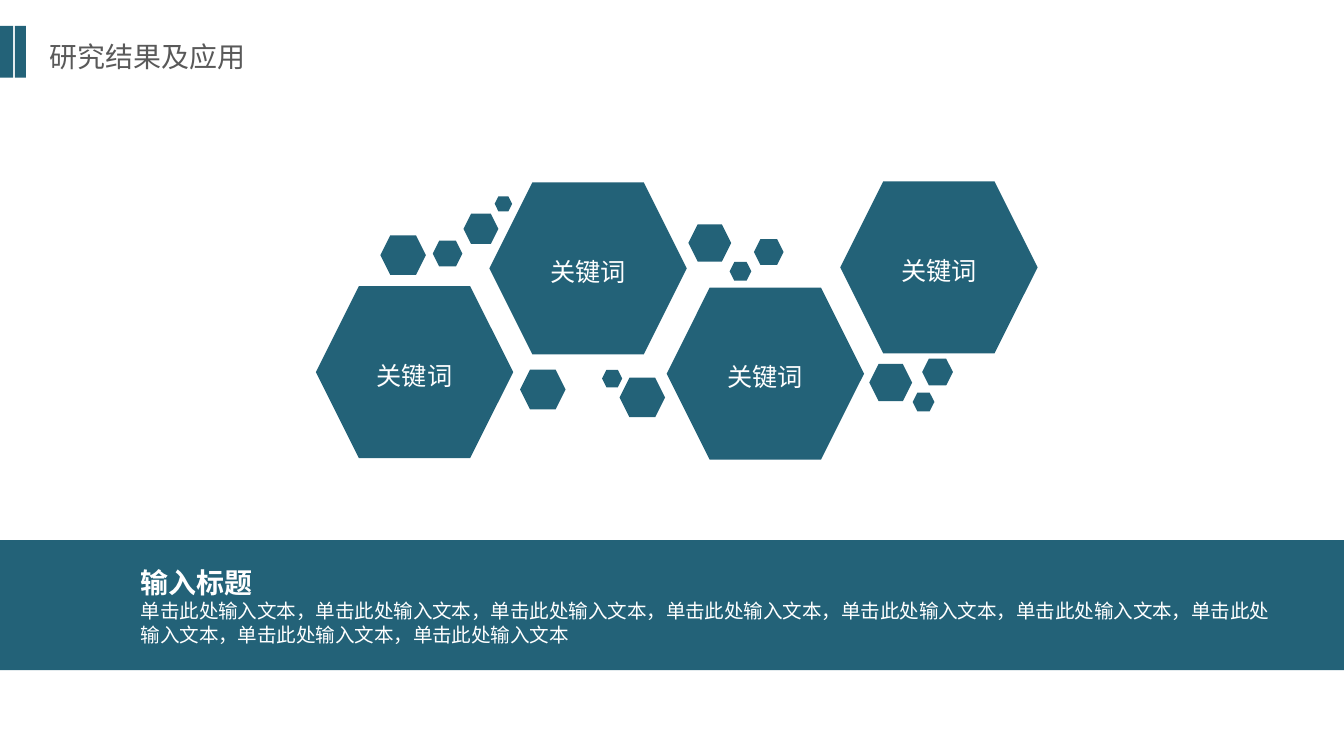
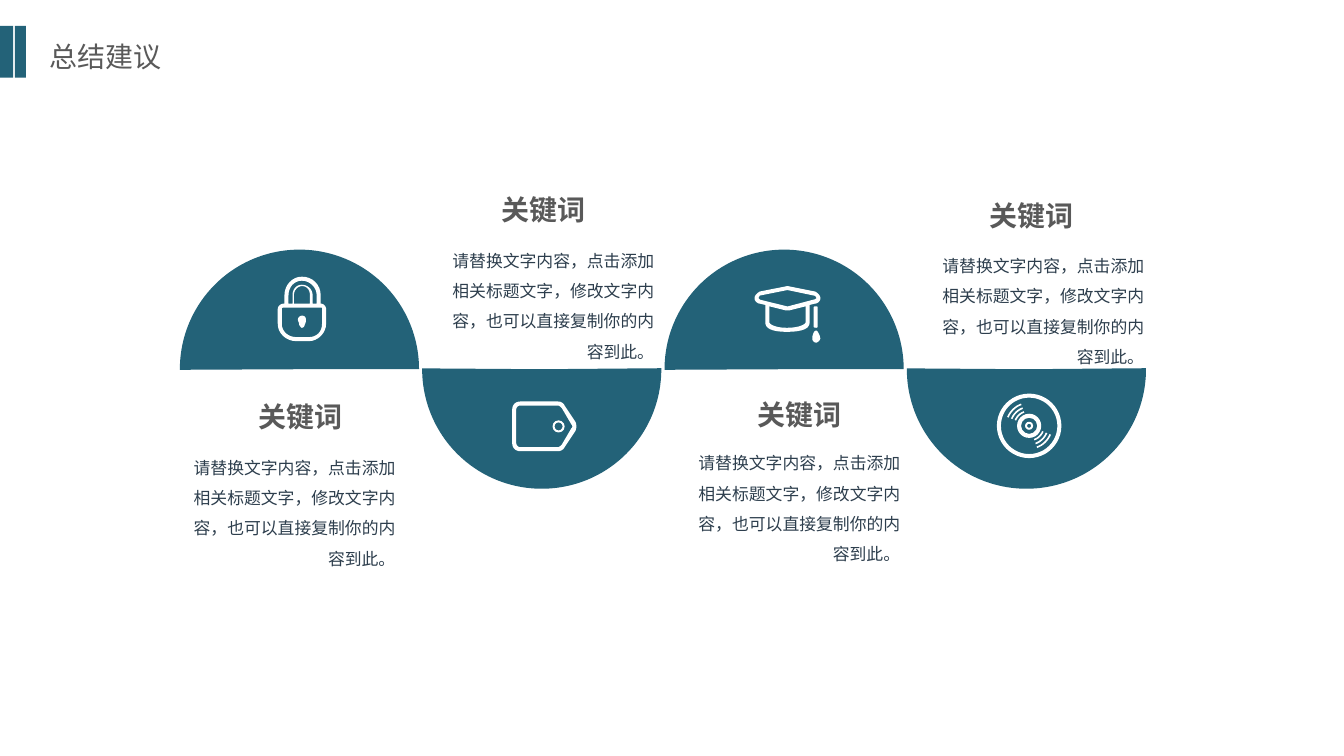
from math import cos, radians, sin

from pptx import Presentation
from pptx.dml.color import RGBColor
from pptx.enum.shapes import MSO_SHAPE
from pptx.enum.text import MSO_ANCHOR, MSO_AUTO_SIZE, PP_ALIGN
from pptx.util import Cm, Pt

TEAL = "236278"
WHITE = "FFFFFF"
GREY = "595959"
SLATE = "2D3E4D"
HEADING_FONT = "Noto Sans CJK SC"
BODY_FONT = "Arial"
KEYWORD = "关键词"
ICON_UNIT = Cm(2.54) / 100
HEXAGON_RATIO = 0.87

# Icon outlines: M move, L line, C curve, in icon units
LOCK = [
    "M 32 20 L 32 14 C 32 6 26 0 18 0 C 11 0 5 6 5 14 L 5 20 C 2 20 0 22 0 24 "
    "L 0 35 C 0 42 6 48 14 48 L 23 48 C 30 48 36 42 36 35 L 36 24 C 36 22 34 20 32 20 "
    "M 33 24 L 33 35 C 33 41 29 45 23 45 L 14 45 C 8 45 3 41 3 35 L 3 24 "
    "C 3 23 4 23 5 23 L 32 23 C 33 23 33 23 33 24 "
    "M 24 14 L 24 20 L 12 20 L 12 14 C 12 10 15 7 18 7 C 22 7 24 10 24 14 "
    "M 8 14 C 8 8 12 3 18 3 C 24 3 29 8 29 14 L 29 20 L 26 20 L 26 14 "
    "C 26 9 22 6 18 6 C 14 6 11 9 11 14 L 11 20 L 8 20",
    "M 18 29 C 17 29 15 30 15 32 C 15 33 16 34 16 36 C 17 37 17 38 18 38 "
    "C 19 38 20 37 20 36 C 21 34 21 33 21 32 C 21 30 20 29 18 29",
]
TAG = [
    "M 47 15 L 39 3 C 38 1 36 0 34 0 L 6 0 C 2 0 0 3 0 6 L 0 31 C 0 34 2 37 6 37 "
    "L 34 37 C 36 37 38 36 39 34 L 47 22 C 48 20 48 17 47 15 "
    "M 44 20 L 37 32 C 36 33 35 34 34 34 L 6 34 C 4 34 3 32 3 31 L 3 6 "
    "C 3 5 4 3 6 3 L 34 3 C 35 3 36 4 37 5 L 44 17 C 45 18 45 19 44 20",
]
CAP = [
    "M 49 9 C 49 7 47 5 45 4 L 25 0 L 24 0 L 4 4 C 2 5 0 7 0 9 C 0 11 2 13 4 13 "
    "L 8 14 L 8 27 C 8 31 12 34 24 34 C 37 34 41 31 41 27 L 41 14 L 45 13 "
    "C 47 13 49 11 49 9 "
    "M 25 15 L 24 15 L 4 10 C 4 10 3 9 3 9 C 3 8 4 7 4 7 L 24 3 L 25 3 L 44 7 "
    "C 45 7 46 8 46 9 C 46 9 45 10 44 10 "
    "M 38 27 C 38 28 34 31 24 31 C 15 31 11 28 11 27 L 11 15 L 23 18 "
    "C 24 18 25 18 26 18 L 38 15",
    "M 44 16 L 44 30 C 44 31 45 31 46 31 C 46 31 47 31 47 30 L 47 16 "
    "C 47 15 46 15 46 15 C 45 15 44 15 44 16",
    "M 46 33 C 44 33 43 37 43 39 C 43 40 44 42 46 42 C 47 42 49 40 49 39 "
    "C 49 37 47 33 46 33",
]


def color(value):
    return RGBColor.from_string(value)


def paint(shape, fill):
    shape.shadow.inherit = False
    shape.fill.solid()
    shape.fill.fore_color.rgb = color(fill)
    shape.line.fill.background()
    return shape


def add_preset(slide, kind, left, top, width, height, fill=TEAL):
    return paint(slide.shapes.add_shape(kind, left, top, width, height), fill)


def format_paragraph(paragraph, size, font_name, font_color, bold=False,
                     align=None, spacing=None):
    paragraph.alignment = align
    paragraph.line_spacing = spacing
    font = paragraph.font
    for run in paragraph.runs:
        font = run.font
        font.size = Pt(size)
        font.name = font_name
        font.bold = bold
        font.color.rgb = color(font_color)


def add_text(slide, left, top, width, height, text, grow=True):
    text_frame = slide.shapes.add_textbox(left, top, width, height).text_frame
    text_frame.word_wrap = True
    if grow:
        text_frame.auto_size = MSO_AUTO_SIZE.SHAPE_TO_FIT_TEXT
    text_frame.text = text
    return text_frame.paragraphs


def add_header(slide, title):
    # Two side bars and the slide title
    for left, width in ((0, 0.25), (0.28, 0.21)):
        add_preset(slide, MSO_SHAPE.RECTANGLE, Cm(left), Cm(0.49), Cm(width), Cm(0.98))
    paragraphs = add_text(slide, Cm(0.69), Cm(0.63), Cm(6.97), Cm(0.89), title)
    format_paragraph(paragraphs[0], 15, HEADING_FONT, GREY)


# Icons
def trace(outline):
    """Turn an outline into contours, with each curve cut into short lines."""
    contours = []
    tokens = iter(outline.split())
    for command in tokens:
        count = 6 if command == "C" else 2
        values = [float(next(tokens)) for _ in range(count)]
        points = list(zip(values[::2], values[1::2]))
        if command == "M":
            contours.append(points)
        elif command == "L":
            contours[-1] += points
        else:
            corners = [contours[-1][-1]] + points
            for step in range(1, 9):
                t = step / 8
                weights = ((1 - t) ** 3, 3 * t * (1 - t) ** 2, 3 * t * t * (1 - t), t ** 3)
                contours[-1].append(tuple(
                    sum(weight * corner[axis] for weight, corner in zip(weights, corners))
                    for axis in (0, 1)))
    return contours


def add_outline(slide, left, top, contours):
    placed = [[(left + x * ICON_UNIT, top + y * ICON_UNIT) for x, y in contour]
              for contour in contours]
    builder = slide.shapes.build_freeform(*placed[0][0], scale=1.0)
    for index, contour in enumerate(placed):
        if index:
            builder.move_to(*contour[0])
        builder.add_line_segments(contour[1:], close=True)
    paint(builder.convert_to_shape(), WHITE)


def add_ring(slide, left, top, x, y, size, thickness):
    ring = add_preset(slide, MSO_SHAPE.DONUT, int(left + x * ICON_UNIT),
                      int(top + y * ICON_UNIT), int(size * ICON_UNIT),
                      int(size * ICON_UNIT), WHITE)
    ring.adjustments[0] = thickness / size


def add_lock(slide, left, top):
    for outline in LOCK:
        add_outline(slide, left, top, trace(outline))


def add_tag(slide, left, top):
    for outline in TAG:
        add_outline(slide, left, top, trace(outline))
    add_ring(slide, left, top, 30, 14, 9, 1.5)


def add_cap(slide, left, top):
    for outline in CAP:
        add_outline(slide, left, top, trace(outline))


def add_disc(slide, left, top):
    center = 24
    for size, thickness in ((48, 3), (18, 3), (6, 1.5)):
        corner = center - size / 2
        add_ring(slide, left, top, corner, corner, size, thickness)
    # Grooves on two opposite sides
    for start in (22, 202):
        angles = [radians(start + 6 * step) for step in range(9)]
        for radius in (11, 14, 17):
            groove = [(center + edge * cos(angle), center + edge * sin(angle))
                      for edge, sweep in ((radius - 0.6, angles),
                                          (radius + 0.6, angles[::-1]))
                      for angle in sweep]
            add_outline(slide, left, top, [groove])


# Slide 1
def add_honeycomb(slide, left, top):
    keyword_cells = ((0, 1.98), (3.28, 0.02), (6.63, 2.01), (9.91, 0))
    small_cells = (
        (1.22, 1.02, 0.86), (2.21, 1.12, 0.56), (2.79, 0.61, 0.66), (3.38, 0.28, 0.33),
        (3.86, 3.56, 0.86), (5.41, 3.56, 0.38), (5.74, 3.71, 0.86), (7.04, 0.81, 0.81),
        (7.82, 1.52, 0.41), (8.28, 1.09, 0.56), (10.46, 3.45, 0.81),
        (11.28, 3.99, 0.41), (11.46, 3.35, 0.58))
    for x, y in keyword_cells:
        cell = add_preset(slide, MSO_SHAPE.HEXAGON, left + Cm(x), top + Cm(y),
                          Cm(3.73), Cm(3.25))
        text_frame = cell.text_frame
        text_frame.text = KEYWORD
        text_frame.vertical_anchor = MSO_ANCHOR.MIDDLE
        format_paragraph(text_frame.paragraphs[0], 13.5, "Calibri", WHITE,
                         align=PP_ALIGN.CENTER, spacing=1.2)
    for x, y, width in small_cells:
        add_preset(slide, MSO_SHAPE.HEXAGON, left + Cm(x), top + Cm(y),
                   Cm(width), Cm(width * HEXAGON_RATIO))


def add_caption_band(slide, left, top, width, height):
    add_preset(slide, MSO_SHAPE.RECTANGLE, left, top, width, height)
    body = "，".join(["单击此处输入文本"] * 9)
    heading, detail = add_text(slide, left + Cm(2.44), top + Cm(0.36), Cm(22.15),
                               Cm(1.8), "输入标题\n" + body)
    format_paragraph(heading, 15, HEADING_FONT, WHITE, bold=True)
    format_paragraph(detail, 10.5, HEADING_FONT, WHITE)


def build_results_slide(slide):
    add_honeycomb(slide, Cm(5.97), Cm(3.43))
    add_caption_band(slide, Cm(-0.03), Cm(10.21), Cm(25.58), Cm(2.46))
    add_header(slide, "研究结果及应用")


# Slide 2
def add_wave_column(slide, left, top, faces_up, add_icon, icon_at, title_at, body_at):
    half_disc = add_preset(slide, MSO_SHAPE.ARC, left, top, Cm(4.52), Cm(4.52))
    angles = (107.82, 0) if faces_up else (215.72, 108.23)
    for index, angle in enumerate(angles):
        half_disc.adjustments[index] = angle
    add_icon(slide, left + Cm(icon_at[0]), top + Cm(icon_at[1]))

    body = add_text(slide, left + Cm(body_at[0]), top + Cm(body_at[1]), Cm(4.6), Cm(2.57),
                    "请替换文字内容，点击添加相关标题文字，修改文字内容，也可以直接复制你的内容到此。")
    format_paragraph(body[0], 9, BODY_FONT, SLATE, align=PP_ALIGN.RIGHT, spacing=1.5)
    title = add_text(slide, left + Cm(title_at[0]), top + Cm(title_at[1]),
                     Cm(2.41), Cm(0.79), KEYWORD, grow=False)
    format_paragraph(title[0], 15, HEADING_FONT, GREY, bold=True, spacing=1.4)


def build_summary_slide(slide):
    # Icon, its place, title place and body place in each column
    columns = (
        (add_lock, (1.85, 0.51), (1.24, 2.46), (-0.28, 3.61)),
        (add_tag, (1.7, 2.87), (1.24, -1.45), (0.03, -0.3)),
        (add_cap, (1.7, 0.69), (1.5, 2.41), (0.1, 3.53)),
        (add_disc, (1.7, 2.72), (1.32, -1.35), (0.13, -0.2)),
    )
    for index, column in enumerate(columns):
        add_wave_column(slide, Cm(3.4 + 4.58 * index), Cm(4.72), index % 2 == 0, *column)
    add_header(slide, "总结建议")


def main():
    presentation = Presentation()
    presentation.slide_width = Cm(25.4)
    presentation.slide_height = Cm(14.29)
    blank_layout = presentation.slide_layouts[6]
    for build_slide in (build_results_slide, build_summary_slide):
        build_slide(presentation.slides.add_slide(blank_layout))
    presentation.save("out.pptx")


if __name__ == "__main__":
    main()
